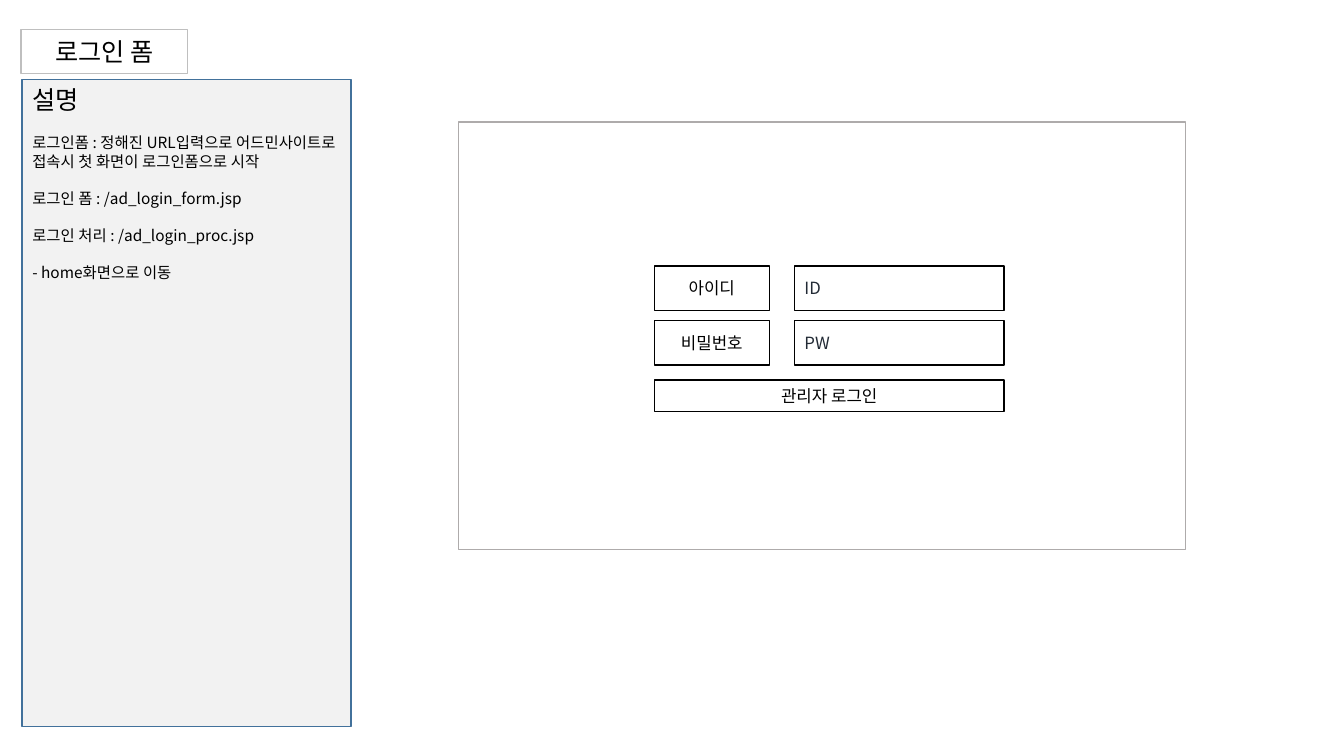
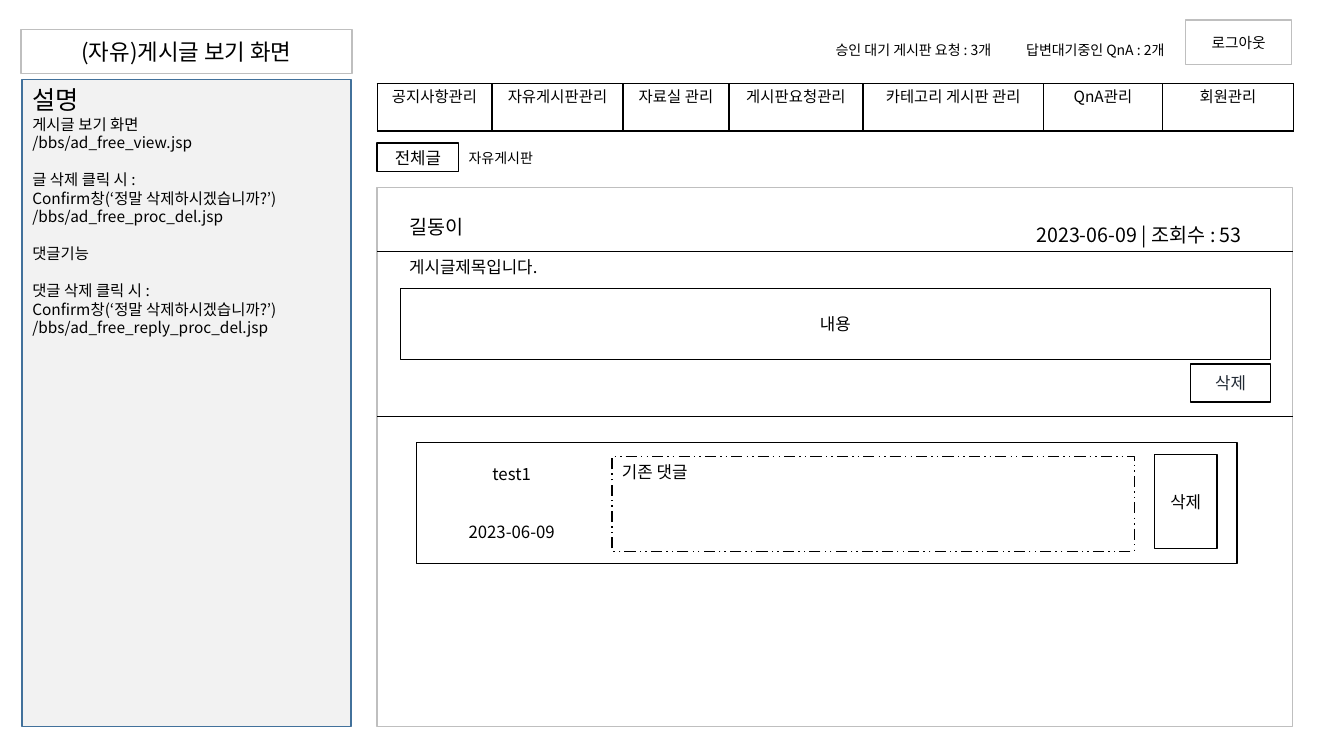
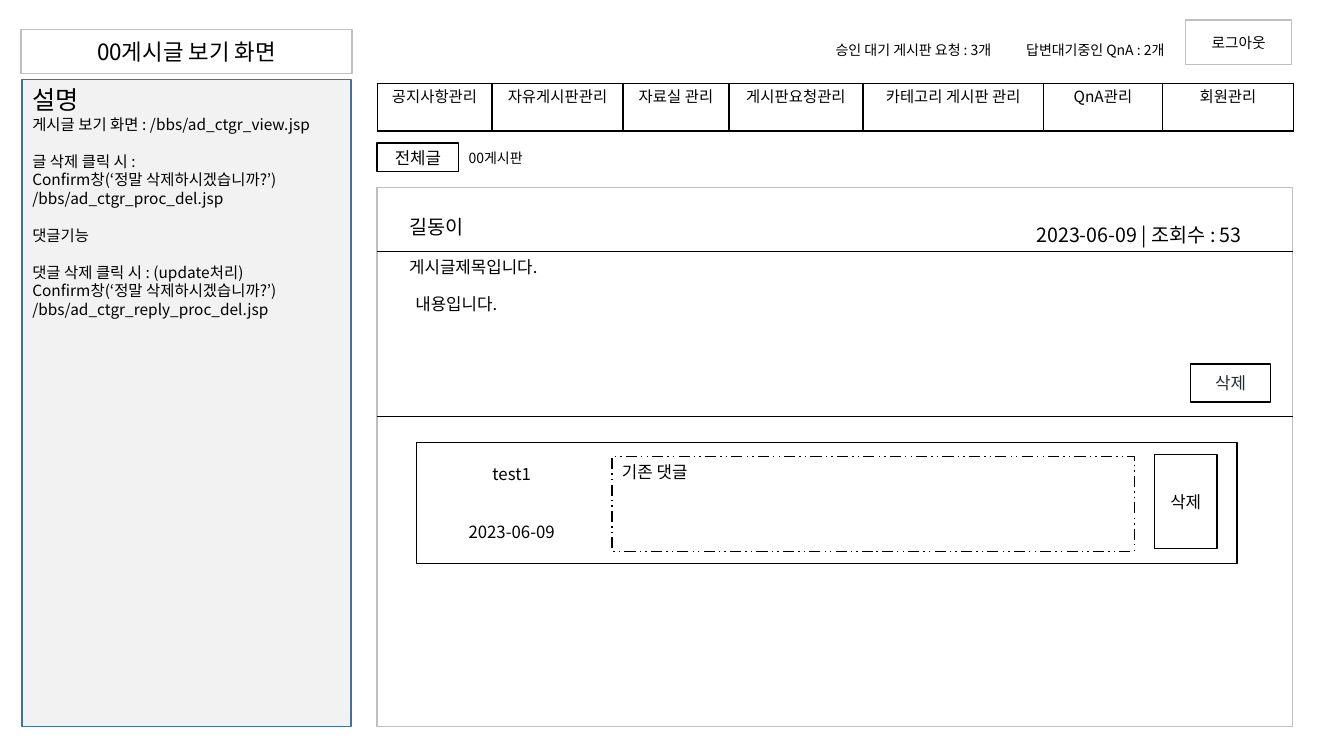
from dataclasses import dataclass

from lxml import etree
from pptx import Presentation
from pptx.dml.color import RGBColor
from pptx.enum.dml import MSO_LINE
from pptx.enum.shapes import MSO_CONNECTOR, MSO_SHAPE
from pptx.enum.text import MSO_ANCHOR, MSO_AUTO_SIZE, PP_ALIGN
from pptx.oxml.ns import qn
from pptx.util import Pt

PX = 9144
FONT = "Noto Sans CJK KR"
LINE_RATIO = 1.2
BLACK = RGBColor(0x00, 0x00, 0x00)
WHITE = RGBColor(0xFF, 0xFF, 0xFF)
SLATE = RGBColor(0x22, 0x2A, 0x35)
SILVER = RGBColor(0xBF, 0xBF, 0xBF)
GRAY = RGBColor(0xAE, 0xAB, 0xAB)
PALE = RGBColor(0xF2, 0xF2, 0xF2)
BLUE = RGBColor(0x42, 0x71, 0x9B)
LEFT, CENTER = PP_ALIGN.LEFT, PP_ALIGN.CENTER
TOP, MIDDLE = MSO_ANCHOR.TOP, MSO_ANCHOR.MIDDLE
NO_FIT = MSO_AUTO_SIZE.NONE
RECTANGLE = MSO_SHAPE.RECTANGLE
STRAIGHT = MSO_CONNECTOR.STRAIGHT
DASH_DOT_DOT = MSO_LINE.DASH_DOT_DOT

MENU = [
    ("공지사항관리", 114), ("자유게시판관리", 130), ("자료실 관리", 105),
    ("게시판요청관리", 133), ("카테고리 게시판 관리", 179),
    ("QnA관리", 118), ("회원관리", 130),
]
CONFIRM = "Confirm창(‘정말 삭제하시겠습니까?’)"
LOGIN_NOTES = [
    ["설명"],
    ["로그인폼 : 정해진 URL입력으로 어드민사이트로 접속시 첫 화면이 로그인폼으로 시작"],
    ["로그인 폼 : /ad_login_form.jsp"],
    ["로그인 처리 : /ad_login_proc.jsp"],
    ["- home화면으로 이동"],
]
FREE_NOTES = [
    ["설명", "게시글 보기 화면", "/bbs/ad_free_view.jsp"],
    ["글 삭제 클릭 시 :", CONFIRM, "/bbs/ad_free_proc_del.jsp"],
    ["댓글기능"],
    ["댓글 삭제 클릭 시 :", CONFIRM, "/bbs/ad_free_reply_proc_del.jsp"],
]
CATEGORY_NOTES = [
    ["설명", "게시글 보기 화면 : /bbs/ad_ctgr_view.jsp"],
    ["글 삭제 클릭 시 :", CONFIRM, "/bbs/ad_ctgr_proc_del.jsp"],
    ["댓글기능"],
    ["댓글 삭제 클릭 시 : (update처리)", CONFIRM, "/bbs/ad_ctgr_reply_proc_del.jsp"],
]


@dataclass
class Box:
    left: int
    top: int
    width: int
    height: int

    def inside(self, left, top, width, height):
        return Box(self.left + left, self.top + top, width, height)

    def emu(self):
        return [side * PX for side in (self.left, self.top, self.width, self.height)]


def write(para, text, size=12, color=BLACK, align=LEFT, before=0):
    para.alignment = align
    para.line_spacing = Pt(size * LINE_RATIO)
    para.space_before = Pt(before)
    span = para.add_run()
    span.text = text
    span.font.size = Pt(size)
    span.font.color.rgb = color
    span.font.name = FONT
    etree.SubElement(span.font._element, qn("a:ea"), typeface=FONT)


def set_frame(frame, anchor=TOP, inset=10):
    frame.auto_size = NO_FIT
    frame.word_wrap = True
    frame.vertical_anchor = anchor
    frame.margin_left, frame.margin_right = inset * PX, 10 * PX
    frame.margin_top = frame.margin_bottom = 5 * PX


def paint(shape, fill, line):
    shape.fill.solid()
    shape.fill.fore_color.rgb = fill
    if line is None:
        shape.line.fill.background()
    else:
        shape.line.color.rgb = line
        shape.line.width = Pt(1)


def add_panel(page, box, text="", line=BLACK, anchor=MIDDLE, align=CENTER, inset=10, **style):
    panel = page.shapes.add_shape(RECTANGLE, *box.emu())
    panel.shadow.inherit = False
    paint(panel, WHITE, line)
    if text:
        set_frame(panel.text_frame, anchor, inset)
        write(panel.text_frame.paragraphs[0], text, align=align, **style)
    return panel


def add_label(page, box, text, **style):
    frame = page.shapes.add_textbox(*box.emu()).text_frame
    set_frame(frame)
    write(frame.paragraphs[0], text, **style)


def add_rule(page, left, top, width):
    start, end, level = left * PX, (left + width) * PX, top * PX
    rule = page.shapes.add_connector(STRAIGHT, start, level, end, level)
    rule.line.color.rgb = BLACK
    rule.line.width = Pt(0.5)
    etree.SubElement(rule._element.spPr, qn("a:effectLst"))


def place(holder, box, fill, line, anchor):
    holder.left, holder.top, holder.width, holder.height = box.emu()
    paint(holder, fill, line)
    set_frame(holder.text_frame, anchor)


def add_page(deck, title, notes, title_width=328, title_size=16):
    page = deck.slides.add_slide(deck.slide_layouts[1])
    heading, body = page.placeholders
    place(heading, Box(21, 29, title_width, 44), WHITE, SILVER, MIDDLE)
    write(heading.text_frame.paragraphs[0], title, size=title_size, align=CENTER)
    place(body, Box(22, 79, 326, 642), PALE, BLUE, TOP)
    frame = body.text_frame
    for group_index, group in enumerate(notes):
        for line_index, text in enumerate(group):
            first = group_index == line_index == 0
            para = frame.paragraphs[0] if first else frame.add_paragraph()
            properties = para._p.get_or_add_pPr()
            properties.set("marL", "0")
            properties.set("indent", "0")
            etree.SubElement(properties, qn("a:buNone"))
            gap = 11 * LINE_RATIO if group_index and not line_index else 0
            write(para, text, size=18 if first else 11, before=gap)
    return page


def add_login_form(page, box):
    add_panel(page, box, line=GRAY)
    for row, (name, hint) in enumerate([("아이디", "ID"), ("비밀번호", "PW")]):
        top = 143 + 54 * row
        add_panel(page, box.inside(194, top, 114, 44), name)
        add_panel(page, box.inside(333, top, 208, 44), hint, align=LEFT, color=SLATE)
    add_panel(page, box.inside(194, 256, 347, 31), "관리자 로그인")


def add_status(page, box):
    add_label(page, box.inside(0, 16, 196, 27), "승인 대기 게시판 요청 : 3개", size=10)
    add_label(page, box.inside(189, 16, 172, 27), "답변대기중인 QnA : 2개", size=10)
    add_panel(page, box.inside(357, 0, 105, 44), "로그아웃", line=SILVER, size=10.5)


def add_border(cell):
    properties = cell._tc.get_or_add_tcPr()
    for index, side in enumerate(("lnL", "lnR", "lnT", "lnB")):
        edge = etree.Element(qn(f"a:{side}"), w=str(Pt(1)))
        fill = etree.SubElement(edge, qn("a:solidFill"))
        etree.SubElement(fill, qn("a:srgbClr"), val=str(BLACK))
        properties.insert(index, edge)


def add_menu(page, box):
    table = page.shapes.add_table(1, len(MENU), *box.emu()).table
    table.first_row = table.horz_banding = False
    for column, (text, width) in enumerate(MENU):
        table.columns[column].width = width * PX
        cell = table.cell(0, column)
        cell.fill.solid()
        cell.fill.fore_color.rgb = WHITE
        add_border(cell)
        write(cell.text_frame.paragraphs[0], text, size=11, align=CENTER)


def add_comment(page, box):
    add_panel(page, box)
    for top, text in ((13, "test1"), (70, "2023-06-09")):
        add_panel(page, box.inside(22, top, 145, 37), text, line=None)
    reply = add_panel(page, box.inside(194, 14, 518, 94), "기존 댓글", anchor=TOP, align=LEFT)
    reply.line.dash_style = DASH_DOT_DOT
    add_panel(page, box.inside(732, 12, 62, 93), "삭제")


def add_post(page, box, content, **content_style):
    add_panel(page, box, line=SILVER)
    add_label(page, box.inside(22, 22, 97, 34), "길동이", size=14)
    add_label(page, box.inside(644, 30, 242, 34), "2023-06-09 | 조회수 : 53", size=14)
    add_panel(page, box.inside(22, 63, 863, 31), "게시글제목입니다.", line=None, align=LEFT)
    add_panel(page, box.inside(23, 100, 863, 71), content, **content_style)
    add_panel(page, box.inside(807, 175, 79, 38), "삭제", color=SLATE)
    for top in (63, 227):
        add_rule(page, box.left, box.top + top, box.width)
    add_comment(page, box.inside(39, 253, 814, 120))


def add_board_page(deck, title, notes, board, content, **content_style):
    page = add_page(deck, title, notes)
    add_status(page, Box(819, 20, 462, 44))
    add_menu(page, Box(374, 83, 909, 47))
    add_panel(page, Box(374, 142, 81, 28), "전체글", anchor=TOP)
    add_label(page, Box(455, 143, 114, 27), board, size=10)
    add_post(page, Box(374, 186, 908, 535), content, **content_style)


def main():
    deck = Presentation()
    deck.slide_width, deck.slide_height = 1333 * PX, 750 * PX
    login = add_page(deck, "로그인 폼", LOGIN_NOTES, title_width=165, title_size=18)
    add_login_form(login, Box(455, 121, 721, 424))
    add_board_page(deck, "(자유)게시글 보기 화면", FREE_NOTES, "자유게시판", "내용")
    add_board_page(deck, "00게시글 보기 화면", CATEGORY_NOTES, "00게시판", "내용입니다.",
                   line=None, anchor=TOP, align=LEFT, inset=15)
    deck.save("out.pptx")


if __name__ == "__main__":
    main()
